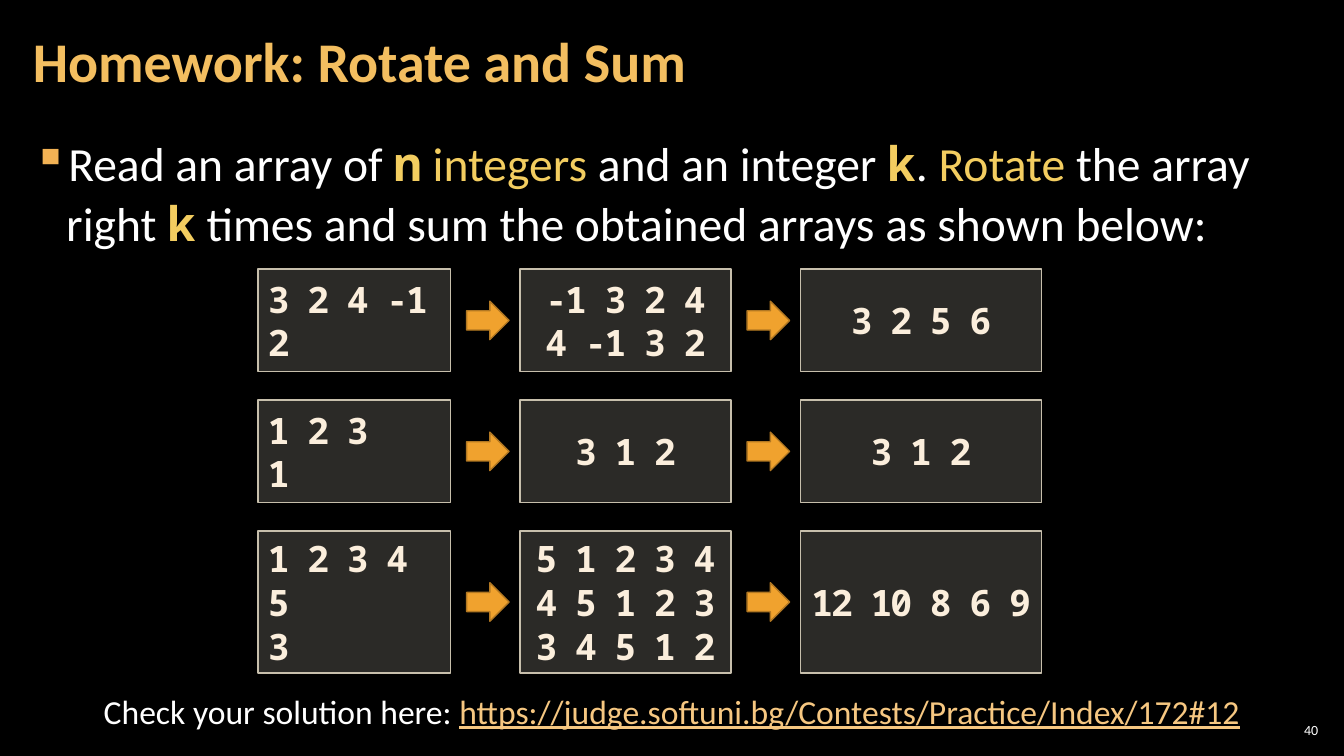
from lxml import etree
from pptx import Presentation
from pptx.dml.color import RGBColor
from pptx.enum.shapes import MSO_SHAPE
from pptx.enum.text import MSO_ANCHOR, PP_ALIGN
from pptx.oxml.ns import qn
from pptx.util import Cm, Pt

RECTANGLE, RIGHT_ARROW = MSO_SHAPE.RECTANGLE, MSO_SHAPE.RIGHT_ARROW
TOP, MIDDLE = MSO_ANCHOR.TOP, MSO_ANCHOR.MIDDLE
LEFT, CENTER, RIGHT = PP_ALIGN.LEFT, PP_ALIGN.CENTER, PP_ALIGN.RIGHT

# Content
TITLE = "Homework: Rotate and Sum"
# Each run of the task: text, style
TASK = [
    ("Read an array of ", "plain"), ("n", "code"), (" integers", "accent"),
    (" and an integer ", "plain"), ("k", "code"), (". ", "plain"),
    ("Rotate ", "accent"), ("the array right ", "plain"), ("k", "code"),
    (" times and sum the obtained arrays as shown below:", "plain"),
]
# Each example: input, rotated arrays, sum
EXAMPLES = [
    (["3 2 4 -1", "2"], ["-1 3 2 4", "4 -1 3 2"], ["3 2 5 6"]),
    (["1 2 3", "1"], ["3 1 2"], ["3 1 2"]),
    (["1 2 3 4 5", "3"], ["5 1 2 3 4", "4 5 1 2 3", "3 4 5 1 2"], ["12 10 8 6 9"]),
]
CHECK_LABEL = "Check your solution here: "
CHECK_ADDRESS = "https://judge.softuni.bg/Contests/Practice/Index/172#12"
SLIDE_NUMBER = "40"

THEME = {
    "background": "000000", "text": "FFFFFF", "title": "F3BE60",
    "accent": "F3CD60", "bullet": "F2B254", "link": "F6C781",
    "box": "D9D5C7", "box_line": "C7BFAC", "box_text": "FBEEDC",
    "arrow": "F0A22E", "arrow_line": "B27822",
    "font": "Calibri", "code_font": "Noto Sans Mono",
    "title_size": 40, "task_size": 34, "box_size": 26, "check_size": 24, "number_size": 10,
}

# Layout in centimetres
GRID_LEFT, GRID_TOP = 6.5, 6.78
COLUMN_WIDTHS = [4.85, 5.31, 6.07]
ROW_HEIGHTS = [2.59, 2.59, 3.58]
COLUMN_GAP, ROW_GAP = 1.76, 0.71
ARROW_WIDTH, ARROW_HEIGHT, ARROW_OFFSET = 1.07, 0.97, 0.41


def color(name):
    return RGBColor.from_string(THEME[name])


def style_font(font, size, color_name, face="font", bold=False):
    font.name = THEME[face]
    font.size = Pt(THEME[size])
    font.color.rgb = color(color_name)
    font.bold = bold


def add_text_box(slide, left, top, width, height, anchor, margins=(0.25, 0.13)):
    box = slide.shapes.add_textbox(Cm(left), Cm(top), Cm(width), Cm(height))
    frame = box.text_frame
    frame.word_wrap = True
    frame.vertical_anchor = anchor
    frame.margin_left = frame.margin_right = Cm(margins[0])
    frame.margin_top = frame.margin_bottom = Cm(margins[1])
    return frame.paragraphs[0]


def add_run(paragraph, text):
    run = paragraph.add_run()
    run.text = text
    return run


def add_bullet(paragraph, character, indent):
    properties = paragraph._p.get_or_add_pPr()
    properties.set("marL", str(Cm(indent)))
    properties.set("indent", str(-Cm(indent)))
    bullet_color = etree.SubElement(properties, qn("a:buClr"))
    etree.SubElement(bullet_color, qn("a:srgbClr"), val=THEME["bullet"])
    etree.SubElement(properties, qn("a:buChar"), char=character)


def add_filled_shape(slide, kind, left, top, width, height, fill, line):
    shape = slide.shapes.add_shape(kind, Cm(left), Cm(top), Cm(width), Cm(height))
    shape.shadow.inherit = False
    shape.fill.solid()
    shape.fill.fore_color.rgb = color(fill)
    shape.line.color.rgb = color(line)
    shape.line.width = Pt(1)
    return shape


def add_array_box(slide, left, top, width, height, lines, alignment):
    shape = add_filled_shape(slide, RECTANGLE, left, top, width, height, "box", "box_line")
    fill_color = shape._element.spPr.find(qn("a:solidFill")).find(qn("a:srgbClr"))
    etree.SubElement(fill_color, qn("a:alpha"), val="20000")
    frame = shape.text_frame
    frame.word_wrap = True
    frame.vertical_anchor = MIDDLE
    for index, line in enumerate(lines):
        paragraph = frame.add_paragraph() if index else frame.paragraphs[0]
        paragraph.alignment = alignment
        run = add_run(paragraph, line)
        run._r.get_or_add_rPr().set("spc", "-150")
        style_font(paragraph.font, "box_size", "box_text", "code_font", True)


def add_example(slide, top, height, columns):
    left = GRID_LEFT
    for index, (lines, width) in enumerate(zip(columns, COLUMN_WIDTHS)):
        if index:
            add_filled_shape(slide, RIGHT_ARROW, left - COLUMN_GAP + ARROW_OFFSET,
                             top + (height - ARROW_HEIGHT) / 2,
                             ARROW_WIDTH, ARROW_HEIGHT, "arrow", "arrow_line")
        add_array_box(slide, left, top, width, height, lines, CENTER if index else LEFT)
        left += width + COLUMN_GAP


def main():
    presentation = Presentation()
    presentation.slide_width, presentation.slide_height = Cm(33.87), Cm(19.05)
    slide = presentation.slides.add_slide(presentation.slide_layouts[6])
    slide.background.fill.solid()
    slide.background.fill.fore_color.rgb = color("background")

    # Slide number
    number = add_text_box(slide, 32.13, 18.14, 1.19, 0.53, MIDDLE, (0.1, 0.1))
    number.alignment = RIGHT
    add_run(number, SLIDE_NUMBER)
    style_font(number.font, "number_size", "text")

    # Title
    title = add_text_box(slide, 0.53, 0.1, 26.59, 3.07, MIDDLE, (0.3, 0.1))
    title.line_spacing = 0.9
    add_run(title, TITLE)
    style_font(title.font, "title_size", "title", bold=True)

    # Task
    task = add_text_box(slide, 0.53, 3.2, 32.79, 3.4, TOP, (0.3, 0.1))
    add_bullet(task, "▪", 0.84)
    task.line_spacing = 1.05
    task.space_after = Pt(6)
    for text, style in TASK:
        is_code = style == "code"
        style_font(add_run(task, text).font, "task_size",
                   "text" if style == "plain" else "accent",
                   "code_font" if is_code else "font", is_code)

    # Examples
    top = GRID_TOP
    for columns, height in zip(EXAMPLES, ROW_HEIGHTS):
        add_example(slide, top, height, columns)
        top += height + ROW_GAP

    # Where to check the solution
    check = add_text_box(slide, 2.26, 17.27, 29.34, 1.27, TOP)
    check.alignment = CENTER
    style_font(add_run(check, CHECK_LABEL).font, "check_size", "text")
    address = add_run(check, CHECK_ADDRESS)
    style_font(address.font, "check_size", "link")
    address.font.underline = True

    presentation.save("out.pptx")


if __name__ == "__main__":
    main()
